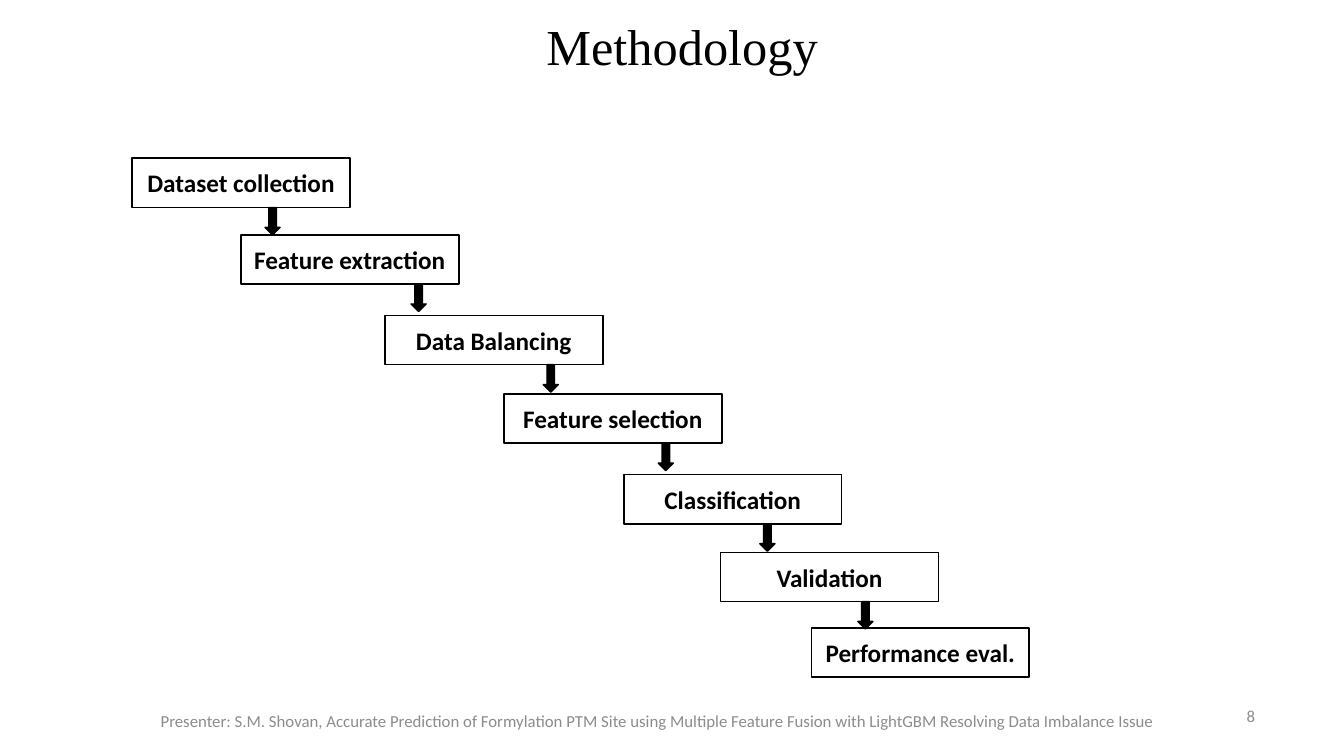
"""Build the Methodology slide: a staircase of seven steps joined by arrows."""
from pptx import Presentation
from pptx.dml.color import RGBColor
from pptx.enum.shapes import MSO_SHAPE
from pptx.enum.text import MSO_ANCHOR, MSO_AUTO_SIZE, PP_ALIGN
from pptx.util import Cm, Pt

BLACK = RGBColor(0x00, 0x00, 0x00)
GREY = RGBColor(0x8C, 0x8C, 0x8C)
RECT, ARROW = MSO_SHAPE.RECTANGLE, MSO_SHAPE.DOWN_ARROW
CENTER, RIGHT = PP_ALIGN.CENTER, PP_ALIGN.RIGHT
MIDDLE = MSO_ANCHOR.MIDDLE
FIXED = MSO_AUTO_SIZE.NONE


def write(shape, text, size, font="Calibri", color=BLACK, bold=False,
          align=CENTER, spacing=1.0):
    frame = shape.text_frame
    frame.word_wrap = True
    frame.auto_size = FIXED
    frame.vertical_anchor = MIDDLE
    par = frame.paragraphs[0]
    par.alignment = align
    par.line_spacing = spacing
    run = par.add_run()
    run.text = text
    run.font.name = font
    run.font.size = Pt(size)
    run.font.bold = bold
    run.font.color.rgb = color


deck = Presentation()
deck.slide_width, deck.slide_height = Cm(33.87), Cm(19.05)
slide = deck.slides.add_slide(deck.slide_layouts[5])
shapes = slide.shapes

title = shapes.title
title.left, title.top = Cm(8.79), Cm(0.28)
title.width, title.height = Cm(17.12), Cm(1.9)
write(title, "Methodology ", 36, font="Times New Roman", spacing=0.9)

footer = shapes.add_textbox(Cm(2.34), Cm(17.65), Cm(28.47), Cm(1.02))
write(footer, "Presenter: S.M. Shovan, Accurate Prediction of Formylation PTM "
      "Site using Multiple Feature Fusion with LightGBM Resolving Data "
      "Imbalance Issue", 12, color=GREY)
number = shapes.add_textbox(Cm(24.26), Cm(17.53), Cm(7.62), Cm(1.02))
write(number, "8", 12, color=GREY, align=RIGHT)

BOX_W, BOX_H = 5.49, 1.24
ARROW_W, ARROW_H = 0.38, 0.69
steps = [
    ("Dataset collection", 3.33, 3.99),
    ("Feature extraction", 6.07, 5.92),
    ("Data Balancing", 9.7, 7.95),
    ("Feature selection", 12.7, 9.93),
    ("Classification", 15.72, 11.96),
    ("Validation", 18.16, 13.92),
    ("Performance eval.", 20.45, 15.82),
]
for name, left, top in steps:
    box = shapes.add_shape(RECT, Cm(left), Cm(top), Cm(BOX_W), Cm(BOX_H))
    box.shadow.inherit = False
    box.fill.background()
    box.line.color.rgb = BLACK
    box.line.width = Pt(1.25)
    write(box, name, 18, bold=True)

arrows = [6.68, 10.36, 13.69, 16.59, 19.15, 21.62]
for left, (name, start, top) in zip(arrows, steps):
    arrow = shapes.add_shape(ARROW, Cm(left), Cm(top + BOX_H),
                             Cm(ARROW_W), Cm(ARROW_H))
    arrow.shadow.inherit = False
    arrow.fill.solid()
    arrow.fill.fore_color.rgb = BLACK
    arrow.line.color.rgb = BLACK
    arrow.line.width = Pt(1)

deck.save("out.pptx")
